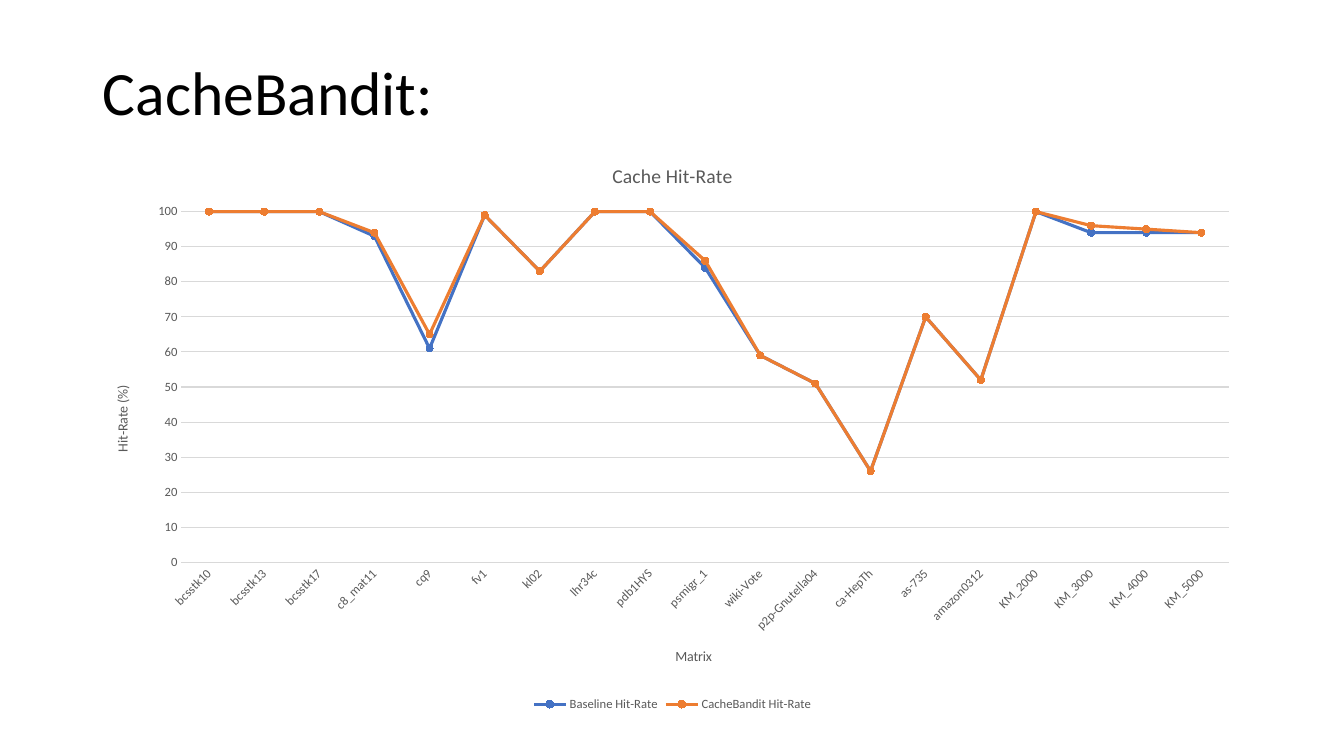
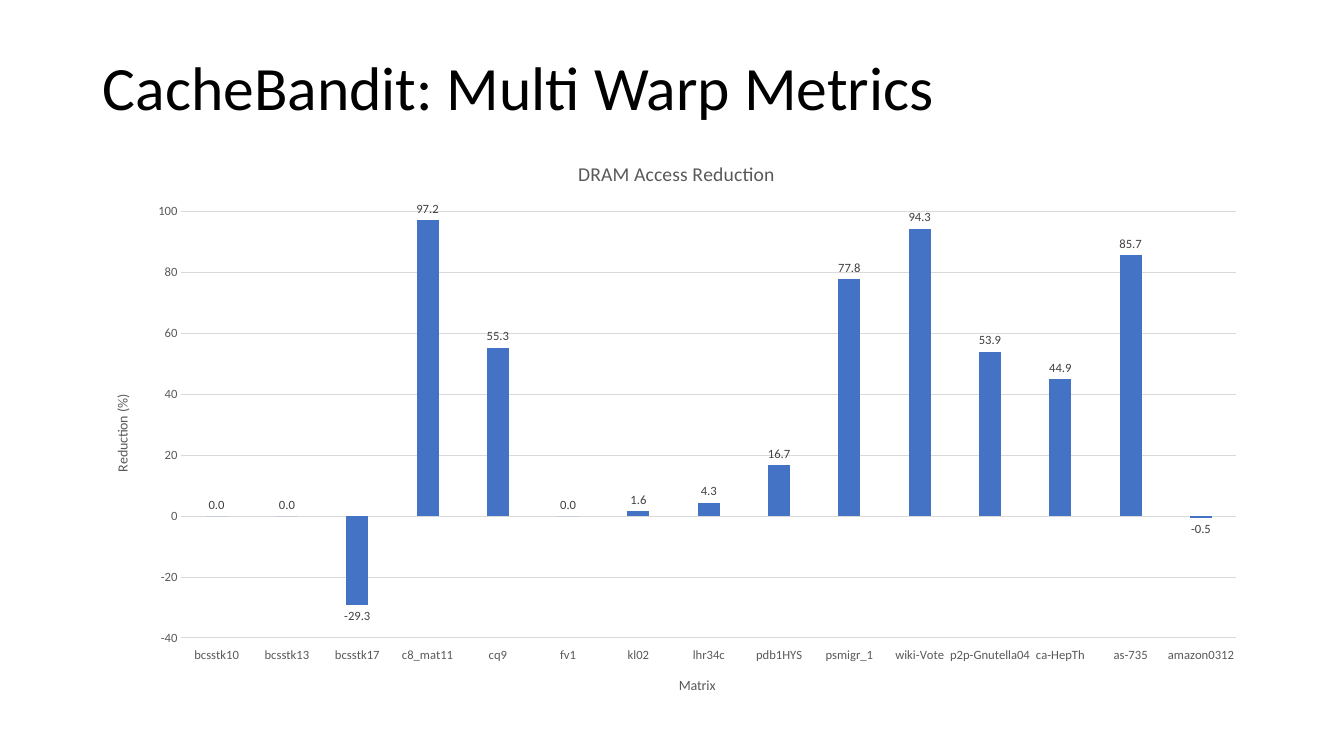
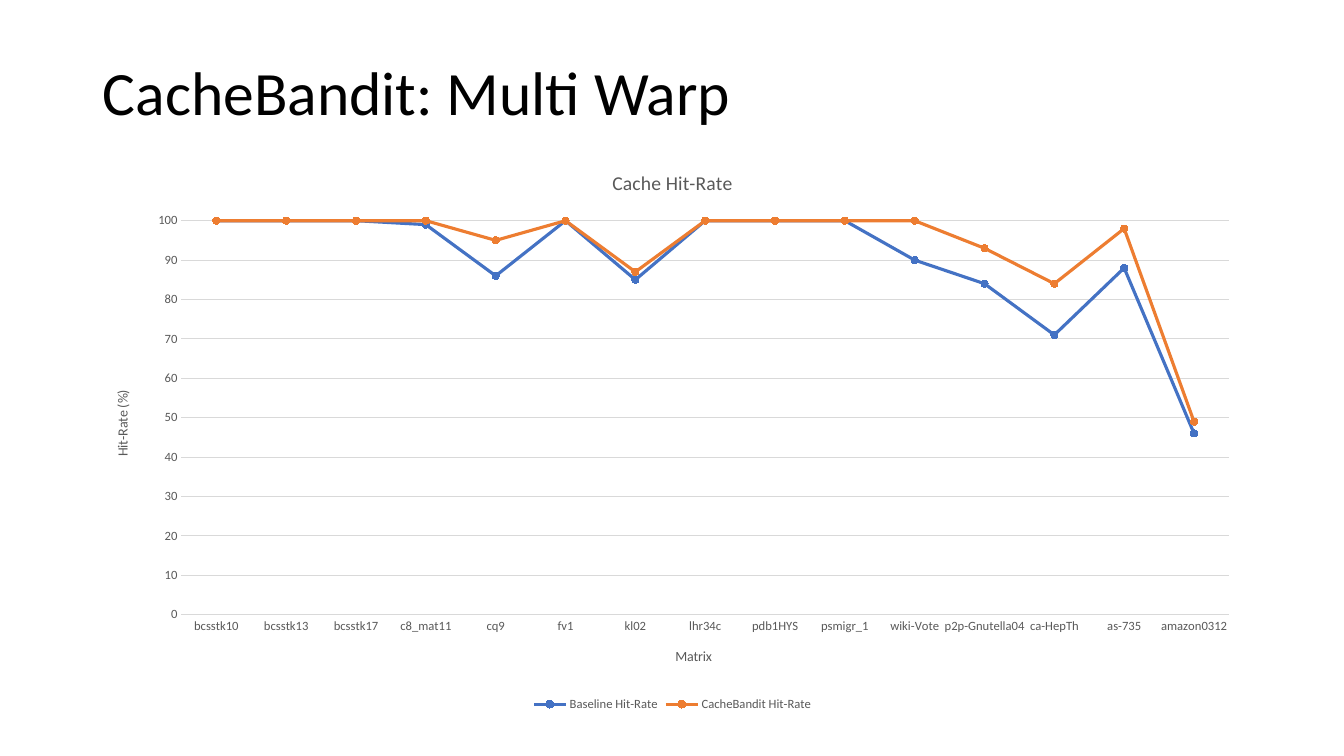
"""Build three slides of cache charts."""
from pptx import Presentation, util as u
from pptx.chart.data import CategoryChartData
from pptx.dml.color import RGBColor
from pptx.enum import chart as ce, text
from pptx.oxml import parse_xml

HUES = {"ink": "000000", "grey": "595959", "label": "404040", "grid": "D9D9D9",
        "base": "4472C4", "bandit": "ED7D31"}
FACE = "Calibri"
NS = "http://schemas.openxmlformats.org/drawingml/2006/chart"
LEFT = 0.92
WIDE = 11.5
BASE = "Baseline Hit-Rate"
BANDIT = "CacheBandit Hit-Rate"
CORE = ["bcsstk10", "bcsstk13", "bcsstk17", "c8_mat11", "cq9", "fv1", "kl02", "lhr34c",
        "pdb1HYS", "psmigr_1", "wiki-Vote", "p2p-Gnutella04", "ca-HepTh", "as-735",
        "amazon0312"]
MORE = ["KM_2000", "KM_3000", "KM_4000", "KM_5000"]

SLIDES = [
    {"title": "CacheBandit:", "tall": 1.09, "head": "Cache Hit-Rate",
     "unit": "Hit-Rate (%)", "cats": CORE + MORE, "turn": -45,
     "box": (LEFT, 1.41, WIDE, 5.69), "plot": (1.8, 2.1, 10.39, 3.48),
     "rows": {BASE: [100, 100, 100, 93, 61, 99, 83, 100, 100, 84, 59, 51, 26, 70, 52,
                     100, 94, 94, 94],
              BANDIT: [100, 100, 100, 94, 65, 99, 83, 100, 100, 86, 59, 51, 26, 70, 52,
                       100, 96, 95, 94]}},
    {"title": "CacheBandit: Multi Warp Metrics", "tall": 0.99,
     "head": "DRAM Access Reduction", "unit": "Reduction (%)", "cats": CORE, "turn": 0,
     "box": (LEFT, 1.39, 11.58, 5.71), "plot": (1.8, 2.1, 10.46, 4.23),
     "rows": {"DRAM Access Reduction": [0, 0, -29.3, 97.2, 55.3, 0, 1.6, 4.3, 16.7, 77.8,
                                        94.3, 53.9, 44.9, 85.7, -0.5]}},
    {"title": "CacheBandit: Multi Warp", "tall": 1.09, "head": "Cache Hit-Rate",
     "unit": "Hit-Rate (%)", "cats": CORE, "turn": 0,
     "box": (LEFT, 1.48, WIDE, 5.62), "plot": (1.8, 2.19, 10.39, 3.91),
     "rows": {BASE: [100, 100, 100, 99, 86, 100, 85, 100, 100, 100, 90, 84, 71, 88, 46],
              BANDIT: [100, 100, 100, 100, 95, 100, 87, 100, 100, 100, 100, 93, 84, 98,
                       49]}},
]


def style(font, size, hue):
    font.name = FACE
    font.size = u.Pt(size)
    font.bold = False
    font.color.rgb = RGBColor.from_string(HUES[hue])


def label(owner, words, size):
    frame = owner.text_frame
    frame.text = words
    style(frame.paragraphs[0].font, size, "grey")
    return frame


deck = Presentation()
deck.slide_width = u.Inches(13.33)
deck.slide_height = u.Inches(7.5)

for item in SLIDES:
    slide = deck.slides.add_slide(deck.slide_layouts[5])
    title = slide.shapes.title
    title.left, title.top = u.Inches(LEFT), u.Inches(0.4)
    title.width, title.height = u.Inches(WIDE), u.Inches(item["tall"])
    frame = title.text_frame
    frame.text = item["title"]
    frame.vertical_anchor = text.MSO_ANCHOR.MIDDLE
    para = frame.paragraphs[0]
    para.alignment = text.PP_ALIGN.LEFT
    para.line_spacing = 0.9
    style(para.font, 44, "ink")

    data = CategoryChartData()
    data.categories = item["cats"]
    for name, vals in item["rows"].items():
        data.add_series(name, vals)
    lines = len(item["rows"]) > 1
    kind = ce.XL_CHART_TYPE.LINE_MARKERS if lines else ce.XL_CHART_TYPE.COLUMN_CLUSTERED
    box = item["box"]
    chart = slide.shapes.add_chart(kind, *map(u.Inches, box), data).chart
    style(chart.font, 10, "ink")
    chart.has_title = True
    label(chart.chart_title, item["head"], 14)
    chart.chart_title.include_in_layout = False

    cat, val = chart.category_axis, chart.value_axis
    for axis, words in ((cat, "Matrix"), (val, item["unit"])):
        axis.major_tick_mark = axis.minor_tick_mark = ce.XL_TICK_MARK.NONE
        style(axis.tick_labels.font, 9, "grey")
        frame = label(axis.axis_title, words, 10)
    frame._txBody.bodyPr.set("rot", "-5400000")
    frame._txBody.bodyPr.set("vert", "horz")
    turn = item["turn"] * 60000 or -60000000
    cat._element.txPr.bodyPr.set("rot", str(turn))
    val.maximum_scale = 100
    val.minimum_scale = 0 if lines else -40
    val.major_unit = 10 if lines else 20
    val.has_major_gridlines = True
    val.format.line.fill.background()
    for line in (cat.format.line, val.major_gridlines.format.line):
        line.width = u.Pt(0.75)
        line.color.rgb = RGBColor.from_string(HUES["grid"])

    plot = chart.plots[0]
    plot.vary_by_categories = False
    chart.has_legend = lines
    if lines:
        chart.legend.position = ce.XL_LEGEND_POSITION.BOTTOM
        chart.legend.include_in_layout = False
        style(chart.legend.font, 9, "grey")
    else:
        plot.gap_width, plot.overlap = 219, -27
        cat.tick_label_position = ce.XL_TICK_LABEL_POSITION.LOW
        plot.has_data_labels = True
        tags = plot.data_labels
        tags.show_value = True
        tags.position = ce.XL_LABEL_POSITION.OUTSIDE_END
        tags.number_format, tags.number_format_is_linked = "#,##0.0", False
        style(tags.font, 9, "label")
    for row, hue in zip(plot.series, ("base", "bandit")):
        tint = RGBColor.from_string(HUES[hue])
        if lines:
            row.smooth = False
            row.format.line.width = u.Pt(2.25)
            row.marker.style, row.marker.size = ce.XL_MARKER_STYLE.CIRCLE, 5
            row.marker.format.line.color.rgb = tint
            row.format.line.color.rgb = tint
            fill = row.marker.format.fill
        else:
            row.invert_if_negative = False
            fill = row.format.fill
        fill.solid()
        fill.fore_color.rgb = tint

    left, top, wide, tall = item["plot"]
    part = {"x": (left - box[0]) / box[2], "y": (top - box[1]) / box[3],
            "w": wide / box[2], "h": tall / box[3]}
    modes = '<c:xMode val="edge"/><c:yMode val="edge"/>'
    sizes = "".join(f'<c:{key} val="{num:.4f}"/>' for key, num in part.items())
    area = chart._chartSpace.chart.plotArea
    for old in area.findall(f"{{{NS}}}layout"):
        area.remove(old)
    area.insert(0, parse_xml(
        f'<c:layout xmlns:c="{NS}"><c:manualLayout><c:layoutTarget val="inner"/>'
        f'{modes}{sizes}</c:manualLayout></c:layout>'))

deck.save("out.pptx")
